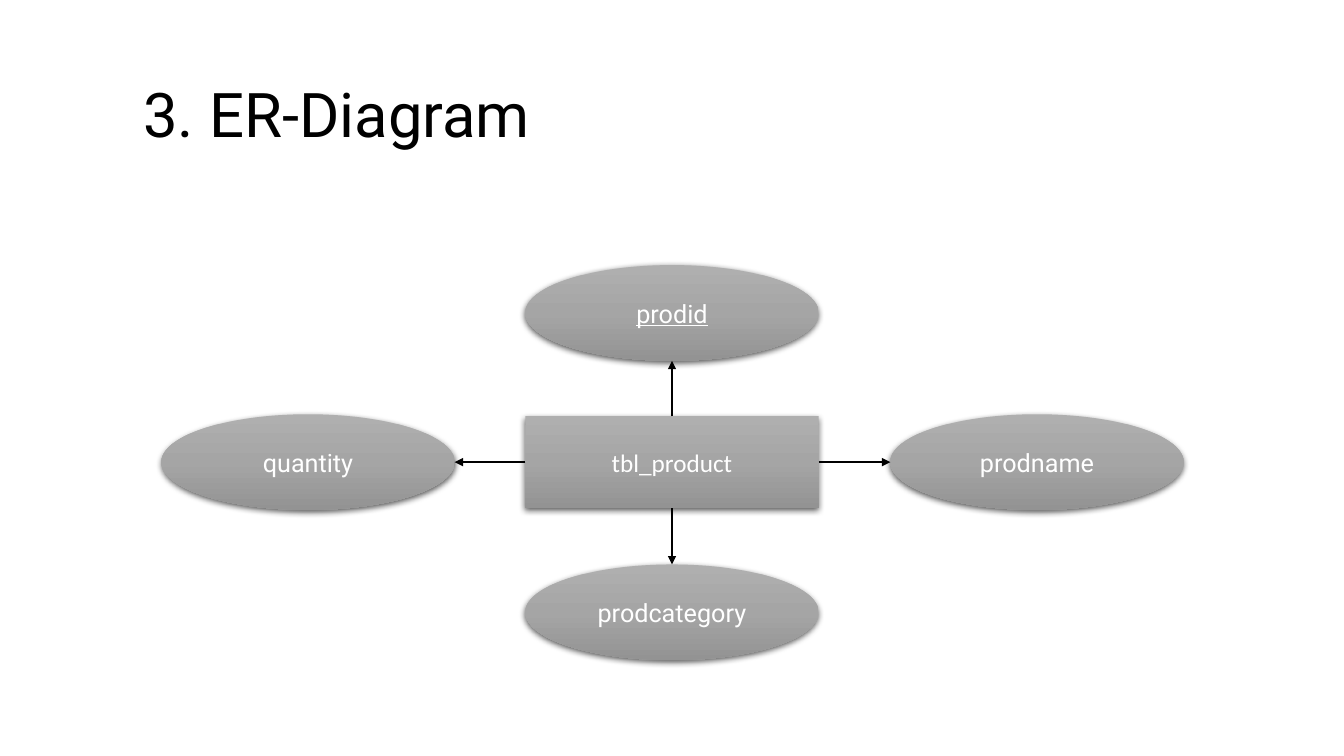
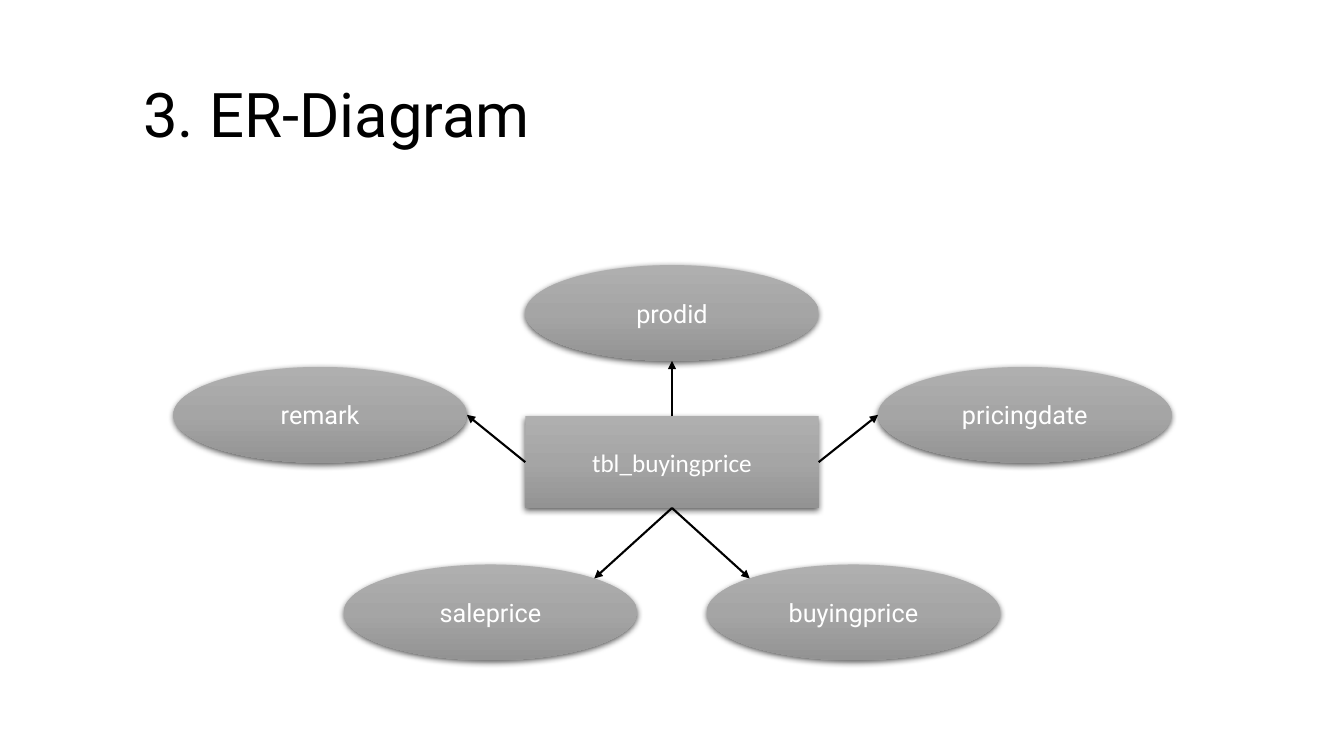
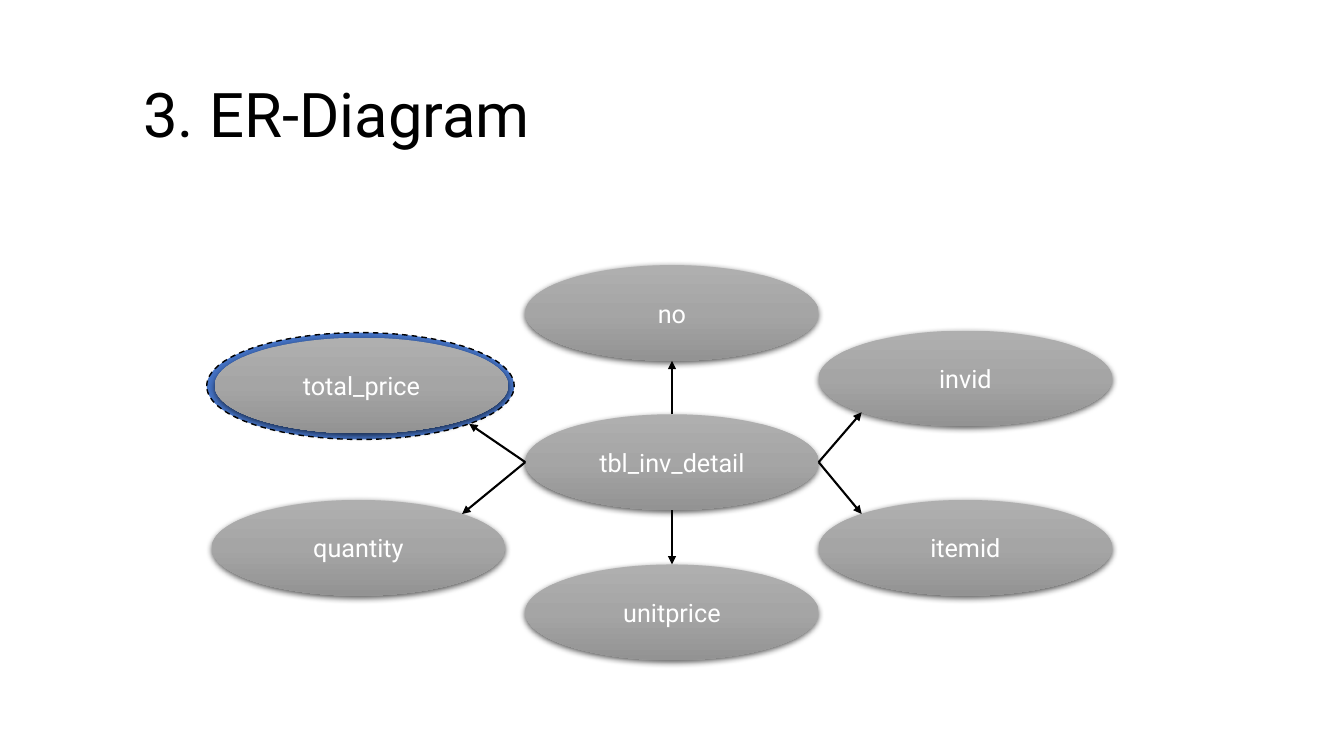
from lxml import etree
from pptx import Presentation
from pptx.dml.color import RGBColor
from pptx.enum.dml import MSO_LINE
from pptx.enum.shapes import MSO_CONNECTOR, MSO_SHAPE
from pptx.enum.text import MSO_ANCHOR, MSO_AUTO_SIZE, PP_ALIGN
from pptx.oxml import parse_xml
from pptx.oxml.ns import nsdecls, qn
from pptx.util import Inches, Pt

OVAL, RECT = MSO_SHAPE.OVAL, MSO_SHAPE.RECTANGLE
STRAIGHT, DASH = MSO_CONNECTOR.STRAIGHT, MSO_LINE.DASH
LEFT, CENTER = PP_ALIGN.LEFT, PP_ALIGN.CENTER
MIDDLE, NO_FIT = MSO_ANCHOR.MIDDLE, MSO_AUTO_SIZE.NONE

COLORS = {
    "ink": "000000",
    "label": "FFFFFF",
    "light": "AFAFAF",
    "mid": "A5A5A5",
    "dark": "939393",
    "derived": "4472C4",
}
GRADIENT = ((0, "light"), (50, "mid"), (100, "dark"))
FONT, ENTITY_FONT = "Roboto", "Calibri"
TITLE = "3. ER-Diagram"

NODE_W, OVAL_H, ENTITY_H = 2.91, 0.95, 0.91
CENTER_LEFT, TOP_ROW, MIDDLE_ROW, BOTTOM_ROW = 5.21, 2.63, 4.11, 5.6
ENTITY_TOP = 4.13
DIAGONAL = 0.5 ** 0.5

TOP, LEFT_SIDE, BOTTOM, RIGHT_SIDE = "top", "left", "bottom", "right"
TOP_LEFT, TOP_RIGHT = "top left", "top right"
BOTTOM_LEFT, BOTTOM_RIGHT = "bottom left", "bottom right"
DIRECTIONS = {
    TOP: (0, -1),
    LEFT_SIDE: (-1, 0),
    BOTTOM: (0, 1),
    RIGHT_SIDE: (1, 0),
    TOP_LEFT: (-DIAGONAL, -DIAGONAL),
    TOP_RIGHT: (DIAGONAL, -DIAGONAL),
    BOTTOM_LEFT: (-DIAGONAL, DIAGONAL),
    BOTTOM_RIGHT: (DIAGONAL, DIAGONAL),
}
RECT_SITES = {TOP: 0, LEFT_SIDE: 1, BOTTOM: 2, RIGHT_SIDE: 3}

PRODUCT = (
    ("prodid", CENTER_LEFT, TOP_ROW, TOP, BOTTOM),
    ("prodname", 8.83, MIDDLE_ROW, RIGHT_SIDE, LEFT_SIDE),
    ("prodcategory", CENTER_LEFT, BOTTOM_ROW, BOTTOM, TOP),
    ("quantity", 1.6, MIDDLE_ROW, LEFT_SIDE, RIGHT_SIDE),
)
BUYING_PRICE = (
    ("prodid", CENTER_LEFT, TOP_ROW, TOP, BOTTOM),
    ("pricingdate", 8.71, 3.64, RIGHT_SIDE, LEFT_SIDE),
    ("buyingprice", 7.01, BOTTOM_ROW, BOTTOM, TOP_LEFT),
    ("saleprice", 3.41, BOTTOM_ROW, BOTTOM, TOP_RIGHT),
    ("remark", 1.72, 3.64, LEFT_SIDE, RIGHT_SIDE),
)
INVOICE_DETAIL = (
    ("no", CENTER_LEFT, TOP_ROW, TOP, BOTTOM),
    ("invid", 8.12, 3.28, RIGHT_SIDE, BOTTOM_LEFT),
    ("itemid", 8.12, 4.96, RIGHT_SIDE, TOP_LEFT),
    ("unitprice", CENTER_LEFT, BOTTOM_ROW, BOTTOM, TOP),
    ("quantity", 2.1, 4.96, LEFT_SIDE, TOP_RIGHT),
    ("total_price", 2.13, 3.35, LEFT_SIDE, BOTTOM_RIGHT),
)


def rgb(key):
    return RGBColor.from_string(COLORS[key])


def edge_point(node, side):
    dx, dy = DIRECTIONS[side]
    return (int(node.left + node.width / 2 * (1 + dx)),
            int(node.top + node.height / 2 * (1 + dy)))


class ErDeck:
    def __init__(self):
        self.deck = Presentation()
        self.deck.slide_width = Inches(13.33)
        self.deck.slide_height = Inches(7.5)
        self.slide = None

    def start_slide(self, heading):
        self.slide = self.deck.slides.add_slide(self.deck.slide_layouts[5])
        title = self.slide.shapes.title
        title.left, title.top = Inches(1.32), Inches(0.34)
        title.width, title.height = Inches(10.7), Inches(1.65)
        title.text_frame.auto_size = NO_FIT
        self.label(title, heading, 44, FONT, "ink", LEFT).line_spacing = 0.9

    def label(self, holder, text, size, font, color, align, underline=None):
        frame = holder.text_frame
        frame.word_wrap = True
        frame.vertical_anchor = MIDDLE
        paragraph = frame.paragraphs[0]
        paragraph.alignment = align
        run = paragraph.add_run()
        run.text = text
        run.font.size = Pt(size)
        run.font.name = font
        run.font.color.rgb = rgb(color)
        run.font.underline = underline
        return paragraph

    def outline(self, kind, left, top, width, height):
        figure = self.slide.shapes.add_shape(
            kind, Inches(left), Inches(top), Inches(width), Inches(height))
        figure.shadow.inherit = False
        return figure

    def node(self, kind, text, left, top, height, font=FONT, key=None):
        node = self.outline(kind, left, top, NODE_W, height)
        node.line.fill.background()
        stops = "".join(
            f'<a:gs pos="{pos * 1000}"><a:srgbClr val="{COLORS[shade]}"/></a:gs>'
            for pos, shade in GRADIENT)
        properties = node._element.spPr
        properties.find(qn("a:prstGeom")).addnext(parse_xml(
            f'<a:gradFill {nsdecls("a")} rotWithShape="1"><a:gsLst>{stops}</a:gsLst>'
            '<a:lin ang="5400000" scaled="0"/></a:gradFill>'))
        properties.find(qn("a:effectLst")).append(parse_xml(
            f'<a:outerShdw {nsdecls("a")} blurRad="{Pt(4.5)}" dist="{Pt(1.5)}" '
            f'dir="5400000" algn="ctr" rotWithShape="0"><a:srgbClr val="{COLORS["ink"]}">'
            '<a:alpha val="63000"/></a:srgbClr></a:outerShdw>'))
        self.label(node, text, 18, font, "label", CENTER, key)
        return node

    def entity(self, text):
        return self.node(RECT, text, CENTER_LEFT, ENTITY_TOP, ENTITY_H, ENTITY_FONT)

    def oval(self, text, left, top, key=None):
        return self.node(OVAL, text, left, top, OVAL_H, key=key)

    def derived_ring(self, left, top):
        ring = self.outline(OVAL, left - 0.08, top - 0.05, 3.05, 1.06)
        ring.fill.solid()
        ring.fill.fore_color.rgb = rgb("derived")
        ring.line.color.rgb = rgb("ink")
        ring.line.width = Pt(1)
        ring.line.dash_style = DASH
        return ring

    def arrow(self, hub, hub_side, target, target_side):
        arrow = self.slide.shapes.add_connector(
            STRAIGHT, *edge_point(hub, hub_side), *edge_point(target, target_side))
        if hub.auto_shape_type == RECT:
            arrow.begin_connect(hub, RECT_SITES[hub_side])
        arrow.line.color.rgb = rgb("ink")
        arrow.line.width = Pt(1.5)
        etree.SubElement(arrow.line._get_or_add_ln(), qn("a:tailEnd"), type="triangle")
        etree.SubElement(arrow._element.spPr, qn("a:effectLst"))

    def attributes(self, hub, fields, key=None, derived=None):
        links = []
        for name, left, top, hub_side, side in fields:
            ring = self.derived_ring(left, top) if name == derived else None
            field = self.oval(name, left, top, True if name == key else None)
            links.append((hub_side, ring or field, side))
        for hub_side, target, side in links:
            self.arrow(hub, hub_side, target, side)


def main():
    er = ErDeck()

    er.start_slide(TITLE)
    er.attributes(er.entity("tbl_product"), PRODUCT, key="prodid")

    er.start_slide(TITLE)
    er.attributes(er.entity("tbl_buyingprice"), BUYING_PRICE)

    er.start_slide(TITLE)
    invoice_detail = er.oval("tbl_inv_detail", CENTER_LEFT, MIDDLE_ROW)
    er.attributes(invoice_detail, INVOICE_DETAIL, derived="total_price")

    er.deck.save("out.pptx")


if __name__ == "__main__":
    main()
